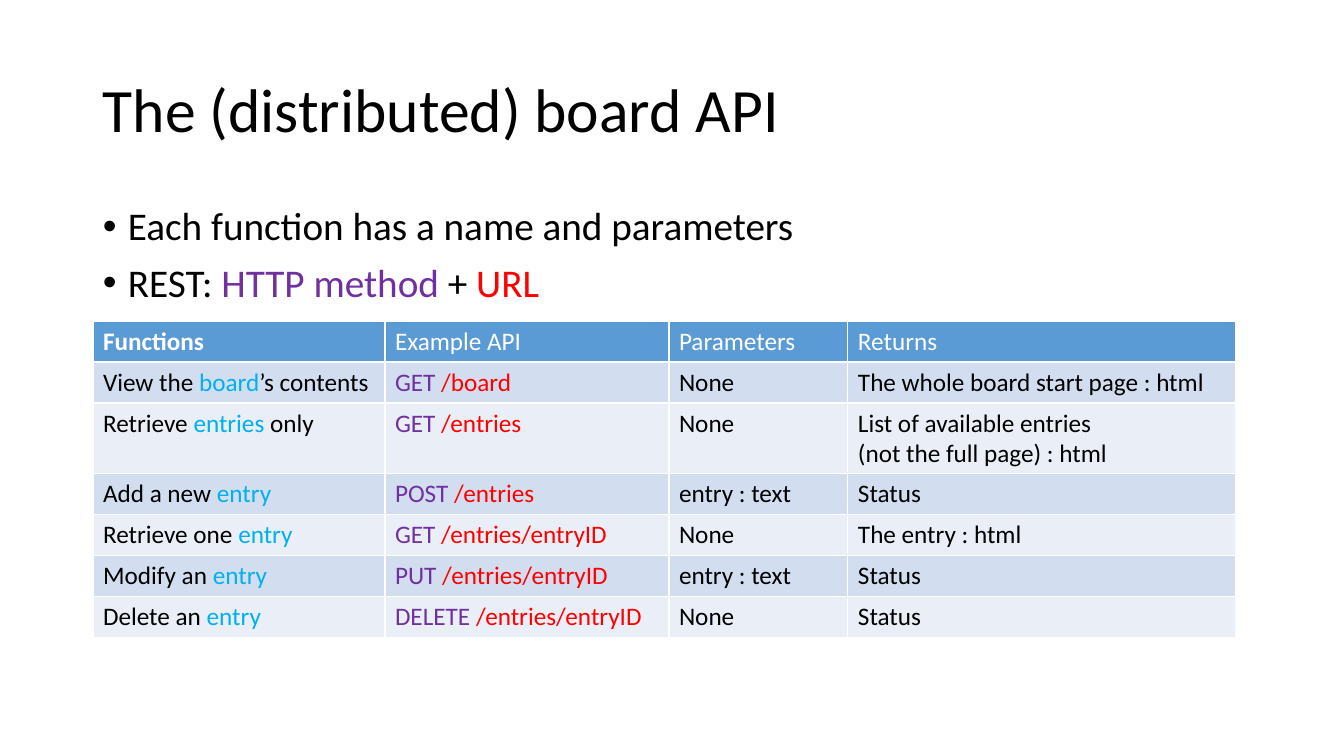
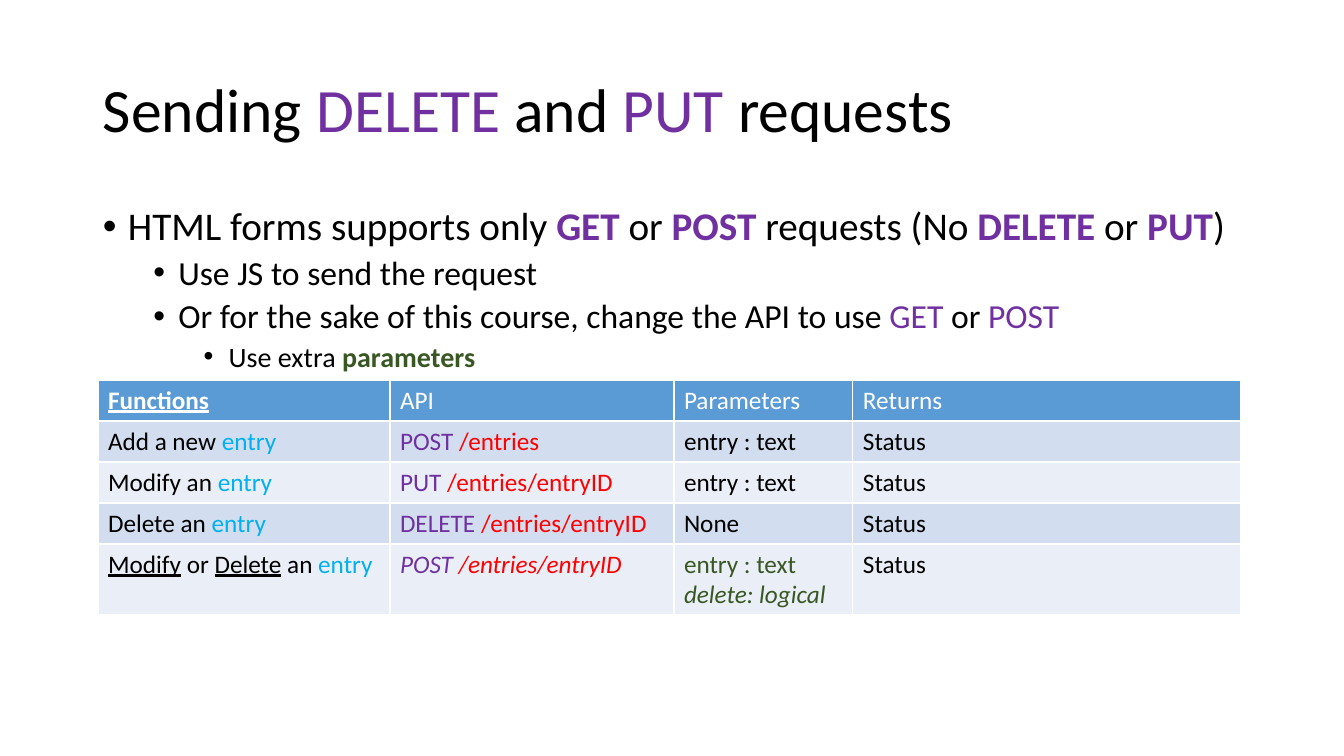
from dataclasses import dataclass

from lxml import etree
from pptx import Presentation
from pptx.dml.color import RGBColor
from pptx.enum.text import MSO_ANCHOR
from pptx.oxml.ns import qn
from pptx.util import Pt

MIDDLE = MSO_ANCHOR.MIDDLE
TOP = MSO_ANCHOR.TOP
BLANK_LAYOUT = 6
PIXEL = 914400 / 100.8


@dataclass(frozen=True)
class Theme:
    """Colours, type sizes and spacing shared by the slides."""

    font: str = "Calibri"
    text: str = "000000"
    method: str = "7030A0"
    url: str = "FF0000"
    entry: str = "00B0F0"
    parameter: str = "385723"
    header_text: str = "FFFFFF"
    header_fill: str = "5B9BD5"
    band_fills: tuple = ("D2DEEF", "EAEFF7")
    title_size: int = 44
    bullet_sizes: tuple = (28, 24, 20)
    bullet_spaces: tuple = (10, 5, 5)
    table_size: int = 18
    line_spacing: float = 0.9


THEME = Theme()
SLIDE_SIZE = (1344, 756)
TITLE_BOX = (93, 40, 1159, 146)
BODY_BOX = (93, 202, 1159, 181)
COLUMN_WIDTHS = (292, 284, 179, 388)
ROW_HEIGHT = 41
BULLET_INDENT = 25
LEVEL_INDENT = 50.4


@dataclass(frozen=True)
class Run:
    """A stretch of text with its colour and emphasis."""

    text: str
    color: str = THEME.text
    bold: bool = False
    italic: bool = False
    underline: bool = False


def method(text, **emphasis):
    """Return a run naming an HTTP method."""
    return Run(text, THEME.method, **emphasis)


def url(text, **emphasis):
    """Return a run showing a URL."""
    return Run(text, THEME.url, **emphasis)


def entry(text="entry"):
    """Return a run naming a resource of the board."""
    return Run(text, THEME.entry)


def parameter(text, **emphasis):
    """Return a run naming an extra parameter."""
    return Run(text, THEME.parameter, **emphasis)


def header(text, **emphasis):
    """Return a column heading."""
    return [Run(text, THEME.header_text, **emphasis)]


def call(verb, address, **emphasis):
    """Return the runs of one API call."""
    return [method(verb + " ", **emphasis), url(address, **emphasis)]


def px(length):
    """Convert pixels to EMU."""
    return round(length * PIXEL)


def write_paragraph(paragraph, runs, size):
    """Fill a paragraph with runs, where a plain string is body text."""
    paragraph.font.name = THEME.font
    paragraph.font.size = Pt(size)
    for item in [runs] if isinstance(runs, str) else runs:
        part = Run(item) if isinstance(item, str) else item
        if part.text == "\n":
            paragraph.add_line_break()
            continue
        run = paragraph.add_run()
        run.text = part.text
        run.font.color.rgb = RGBColor.from_string(part.color)
        run.font.bold = part.bold
        run.font.italic = part.italic
        run.font.underline = part.underline


def add_text_frame(slide, box, anchor):
    """Add a wrapping text box and return its text frame."""
    frame = slide.shapes.add_textbox(*map(px, box)).text_frame
    frame.word_wrap = True
    frame.vertical_anchor = anchor
    return frame


def add_title(slide, box, runs):
    """Place the slide title."""
    paragraph = add_text_frame(slide, box, MIDDLE).paragraphs[0]
    paragraph.line_spacing = THEME.line_spacing
    write_paragraph(paragraph, runs, THEME.title_size)


def set_bullet(paragraph, level):
    """Give a paragraph a hanging round bullet."""
    properties = paragraph._p.get_or_add_pPr()
    properties.set("marL", str(px(BULLET_INDENT + LEVEL_INDENT * level)))
    properties.set("indent", str(-px(BULLET_INDENT)))
    etree.SubElement(properties, qn("a:buFont")).set("typeface", "Arial")
    etree.SubElement(properties, qn("a:buChar")).set("char", "•")


def add_bullets(slide, box, bullets):
    """Place bullets given as pairs of level and runs."""
    frame = add_text_frame(slide, box, TOP)
    for index, (level, runs) in enumerate(bullets):
        paragraph = frame.add_paragraph() if index else frame.paragraphs[0]
        paragraph.level = level
        paragraph.line_spacing = THEME.line_spacing
        paragraph.space_before = Pt(THEME.bullet_spaces[level])
        set_bullet(paragraph, level)
        write_paragraph(paragraph, runs, THEME.bullet_sizes[level])


def fill_cell(cell, content, fill):
    """Colour a cell and write its paragraphs, a tuple holding several."""
    cell.fill.solid()
    cell.fill.fore_color.rgb = RGBColor.from_string(fill)
    frame = cell.text_frame
    for index, runs in enumerate(content if isinstance(content, tuple) else (content,)):
        paragraph = frame.add_paragraph() if index else frame.paragraphs[0]
        write_paragraph(paragraph, runs, THEME.table_size)


def add_api_table(slide, left, top, rows):
    """Place the banded table of API functions."""
    box = (left, top, sum(COLUMN_WIDTHS), ROW_HEIGHT * len(rows))
    table = slide.shapes.add_table(len(rows), len(COLUMN_WIDTHS), *map(px, box)).table
    for column, width in zip(table.columns, COLUMN_WIDTHS):
        column.width = px(width)
    for index, contents in enumerate(rows):
        table.rows[index].height = px(ROW_HEIGHT)
        fill = THEME.band_fills[(index - 1) % 2] if index else THEME.header_fill
        for cell, content in zip(table.rows[index].cells, contents):
            fill_cell(cell, content, fill)


def add_api_slide(presentation, title, bullets, table_corner, rows):
    """Add a slide with a title, bullets and an API table."""
    slide = presentation.slides.add_slide(presentation.slide_layouts[BLANK_LAYOUT])
    add_title(slide, TITLE_BOX, title)
    add_bullets(slide, BODY_BOX, bullets)
    add_api_table(slide, *table_corner, rows)


ADD_ROW = (["Add a new ", entry()], call("POST", "/entries"), "entry : text", "Status")
MODIFY_ROW = (["Modify an ", entry()], call("PUT", "/entries/entryID"), "entry : text", "Status")
DELETE_ROW = (["Delete an ", entry()], call("DELETE", "/entries/entryID"), "None", "Status")

BOARD_BULLETS = [
    (0, "Each function has a name and parameters "),
    (0, ["REST: ", method("HTTP method "), "+ ", url("URL")]),
]
BOARD_ROWS = [
    (header("Functions", bold=True), header("Example API"), header("Parameters"), header("Returns")),
    (["View the ", entry("board"), "’s contents"], call("GET", "/board"), "None",
     "The whole board start page : html"),
    (["Retrieve ", entry("entries "), "only"], call("GET", "/entries"), "None",
     ["List of available entries ", "\n", "(not the full page) : html"]),
    ADD_ROW,
    (["Retrieve one ", entry()], call("GET", "/entries/entryID"), "None", "The entry : html"),
    MODIFY_ROW,
    DELETE_ROW,
]

REQUEST_TITLE = ["Sending ", method("DELETE"), " and ", method("PUT"), " requests"]
REQUEST_BULLETS = [
    (0, ["HTML forms supports only ", method("GET ", bold=True), "or ",
         method("POST ", bold=True), "requests (No ", method("DELETE", bold=True),
         " or ", method("PUT", bold=True), ")"]),
    (1, "Use JS to send the request"),
    (1, ["Or for the sake of this course, change the API to use ",
         method("GET"), " or ", method("POST")]),
    (2, ["Use extra ", parameter("parameters", bold=True)]),
]
REQUEST_ROWS = [
    (header("Functions", bold=True, underline=True), header("API"),
     header("Parameters"), header("Returns")),
    ADD_ROW,
    MODIFY_ROW,
    DELETE_ROW,
    ([Run("Modify", underline=True), " or ", Run("Delete", underline=True), " an ", entry()],
     call("POST", "/entries/entryID ", italic=True),
     ([parameter("entry : text")], [parameter("delete: logical", italic=True)]),
     "Status"),
]


def main():
    """Build and save the presentation."""
    presentation = Presentation()
    presentation.slide_width, presentation.slide_height = map(px, SLIDE_SIZE)
    add_api_slide(presentation, "The (distributed) board API", BOARD_BULLETS, (93, 321), BOARD_ROWS)
    add_api_slide(presentation, REQUEST_TITLE, REQUEST_BULLETS, (98, 380), REQUEST_ROWS)
    presentation.save("out.pptx")


main()
